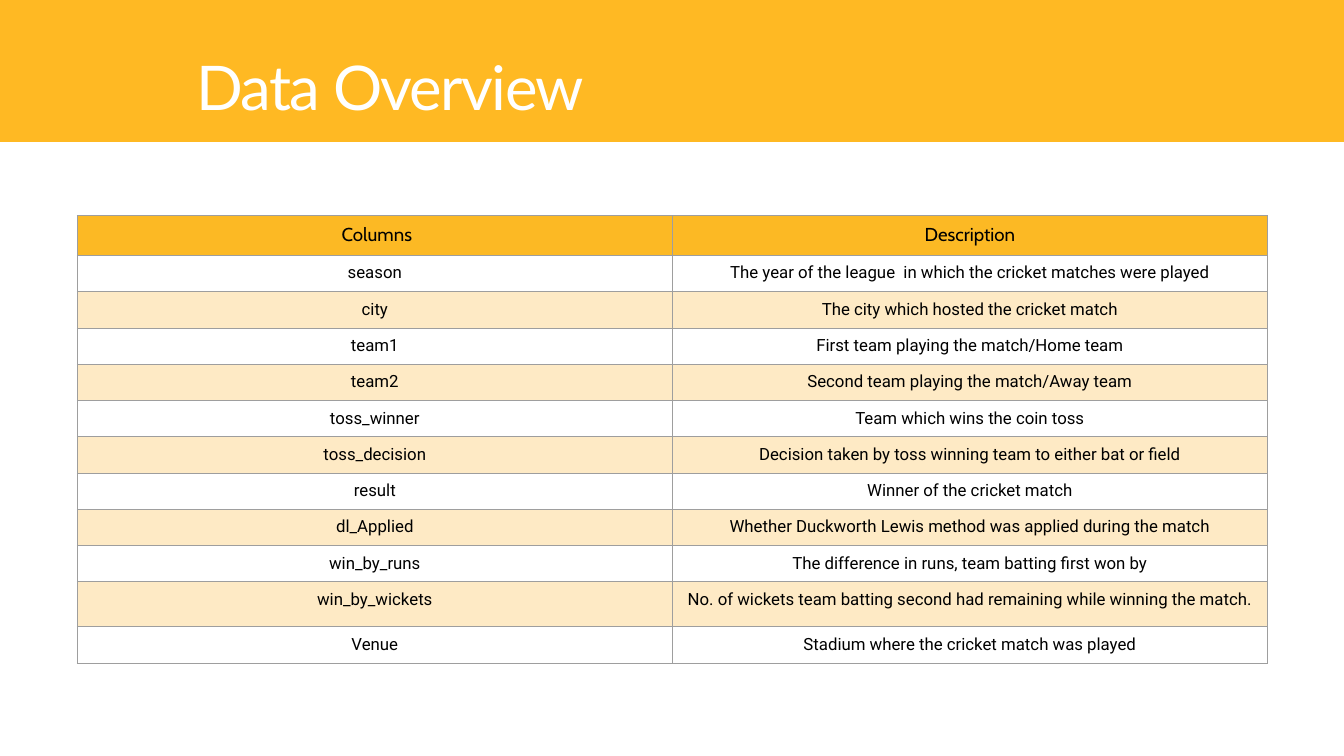
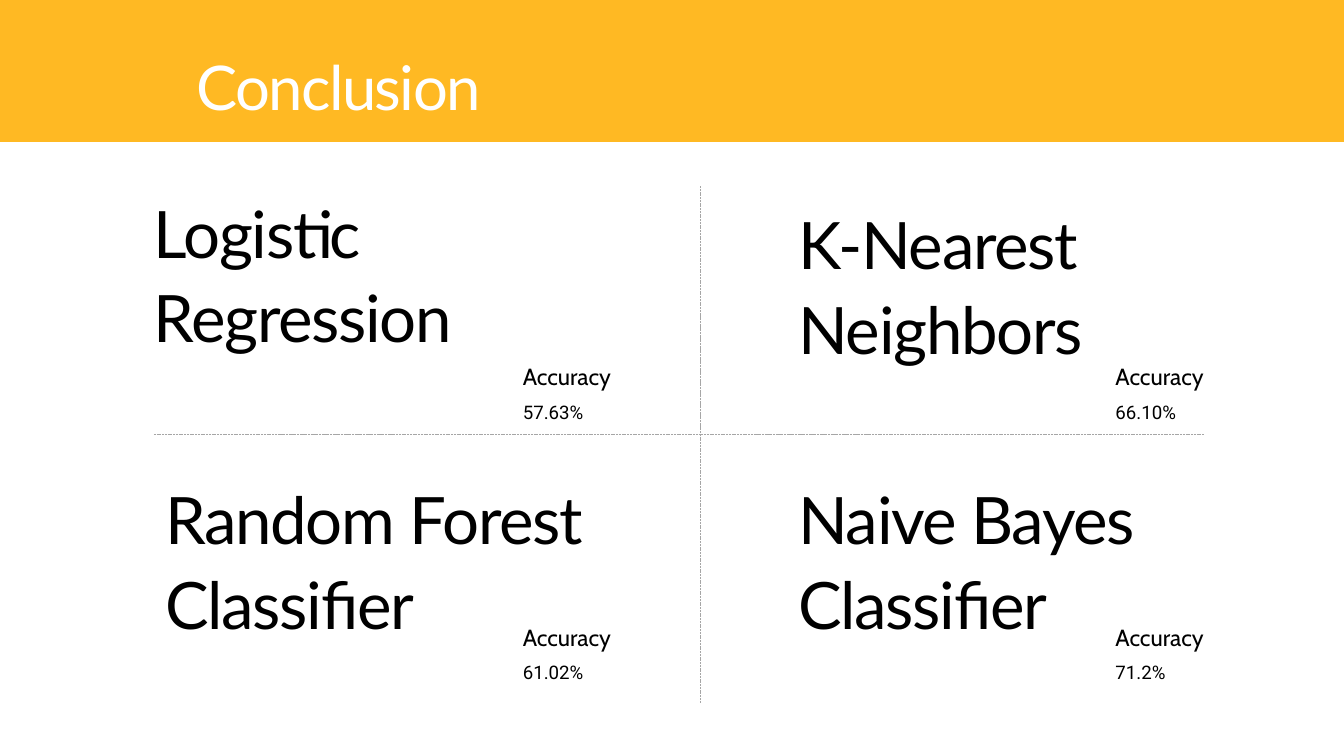
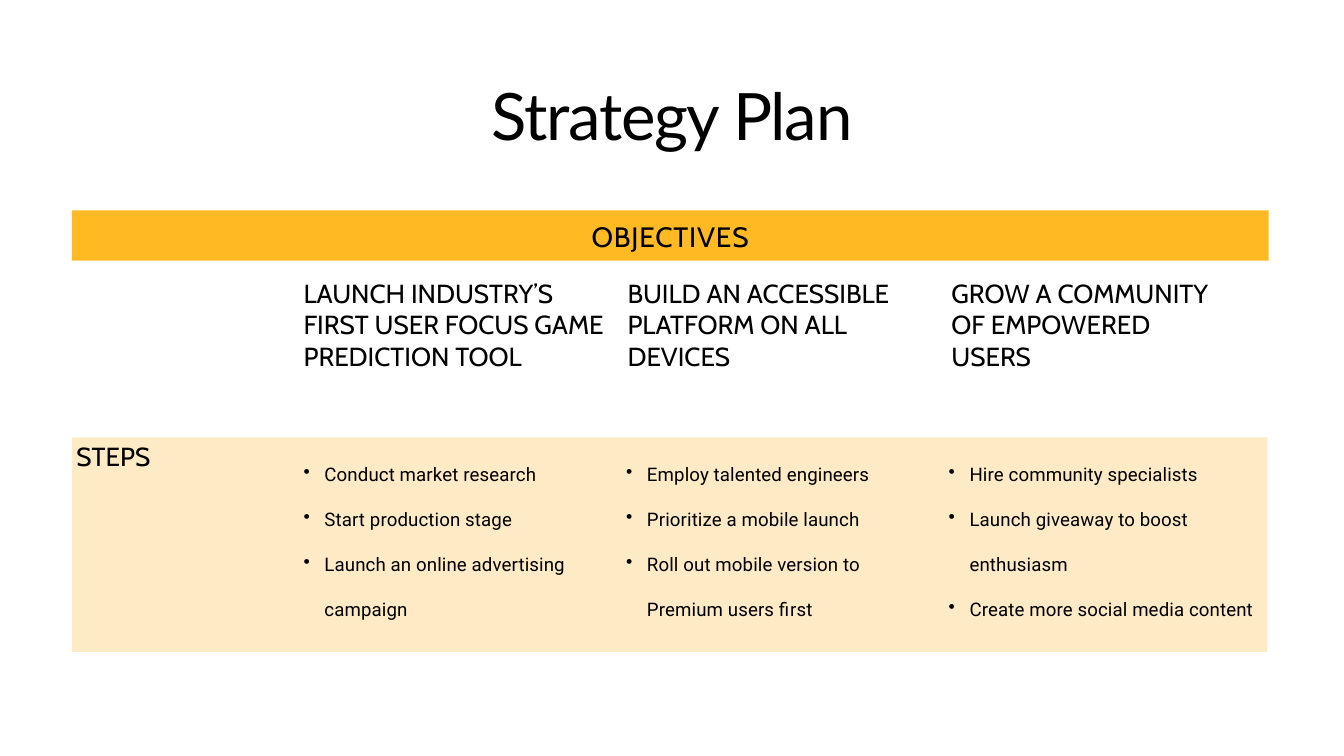
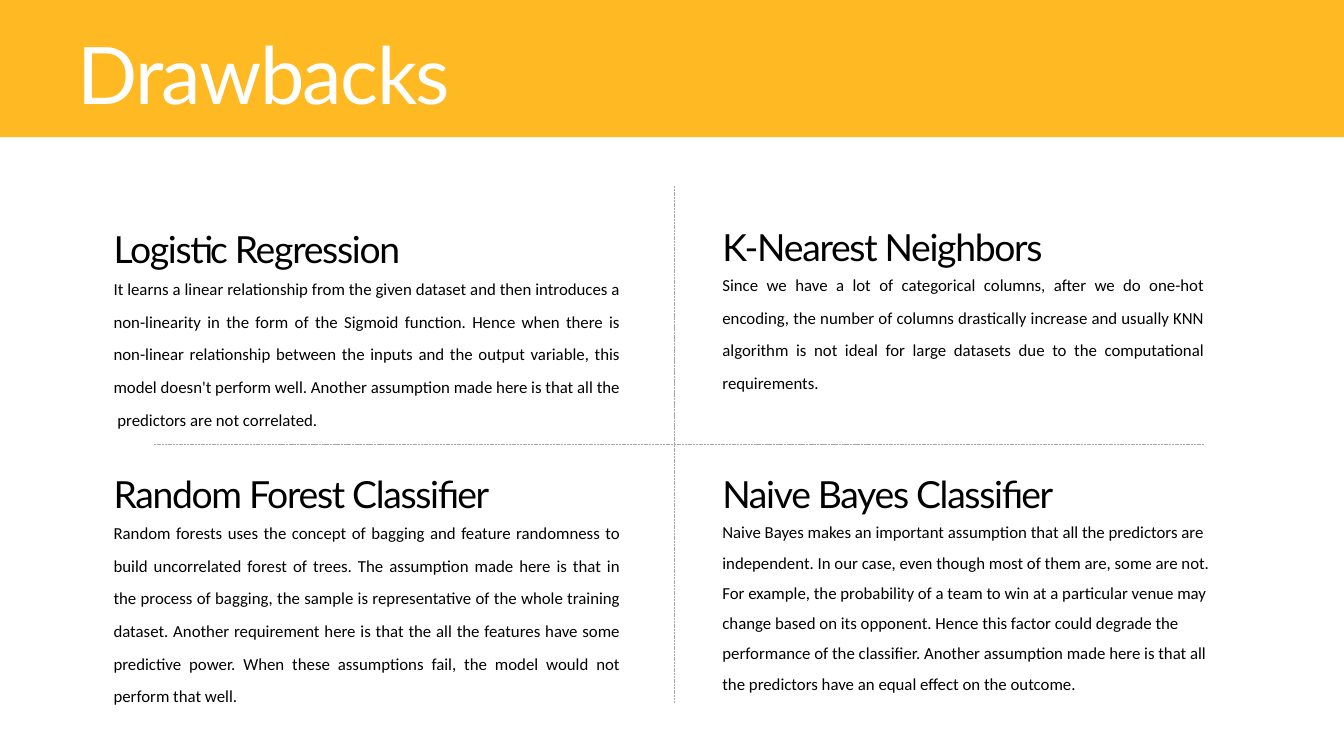
import pptx
import pptx.dml.color
import pptx.enum.dml
import pptx.enum.shapes
import pptx.enum.text
import pptx.oxml.ns
import pptx.util
from lxml import etree

Inches = pptx.util.Inches
Pt = pptx.util.Pt
Align = pptx.enum.text.PP_ALIGN
qn = pptx.oxml.ns.qn

INK = {"band": "FFB923", "head": "FCB924", "pale": "FEEAC5", "text": "000000",
       "white": "FFFFFF", "rule": "A6A6A6", "grid": "9E9E9E"}

FIELDS = [
    (" Columns", "Description"),
    ("season", "The year of the league  in which the cricket matches were played"),
    ("city", "The city which hosted the cricket match"),
    ("team1", "First team playing the match/Home team"),
    ("team2", "Second team playing the match/Away team"),
    ("toss_winner", "Team which wins the coin toss"),
    ("toss_decision", "Decision taken by toss winning team to either bat or field"),
    ("result", "Winner of the cricket match"),
    ("dl_Applied", "Whether Duckworth Lewis method was applied during the match"),
    ("win_by_runs", "The difference in runs, team batting first won by"),
    ("win_by_wickets",
     "No. of wickets team batting second had remaining while winning the match."),
    ("Venue", "Stadium where the cricket match was played"),
]
HEIGHTS = [0.59] + [0.54] * 9 + [0.67, 0.54]

# model, left and top of its name, left and top of its score
SCORES = [
    ("Logistic Regression", 2.29, 2.77, "57.63%", 7.78, 5.32),
    ("K-Nearest Neighbors", 11.88, 2.94, "66.10%", 16.6, 5.32),
    ("Random Forest Classifier", 2.46, 7.04, "61.02%", 7.78, 9.2),
    ("Naive Bayes Classifier", 11.88, 7.04, "71.2%", 16.6, 9.2),
]

GOALS = [
    (["LAUNCH INDUSTRY’S", "FIRST USER FOCUS GAME PREDICTION TOOL"],
     ["Conduct market research", "Start production stage",
      "Launch an online advertising campaign"]),
    (["BUILD AN ACCESSIBLE PLATFORM ON ALL", "DEVICES"],
     ["Employ talented engineers", "Prioritize a mobile launch",
      "Roll out mobile version to Premium users first"]),
    (["GROW A COMMUNITY", "OF EMPOWERED", "USERS"],
     ["Hire community specialists", "Launch giveaway to boost enthusiasm",
      "Create more social media content"]),
]

JUST = {"align": Align.JUSTIFY, "lead": Pt(35)}
# model, top of its name, left, top and size of its note, note, note format
FLAWS = [
    ("Logistic Regression", 2.77, (1.69, 3.96, 7.54, 2.4),
     "It learns a linear relationship from the given dataset and then introduces a "
     "non-linearity in the form of the Sigmoid function. Hence when there is "
     "non-linear relationship between the inputs and the output variable, this model "
     "doesn't perform well. Another assumption made here is that all the  predictors "
     "are not correlated.", JUST),
    ("K-Nearest Neighbors", 2.74, (10.75, 3.9, 7.17, 1.91),
     "Since we have a lot of categorical columns, after we do one-hot encoding, the "
     "number of columns drastically increase and usually KNN algorithm is not ideal "
     "for large datasets due to the computational requirements.", JUST),
    ("Random Forest Classifier", 6.41, (1.69, 7.59, 7.54, 2.89),
     "Random forests uses the concept of bagging and feature randomness to build "
     "uncorrelated forest of trees. The assumption made here is that in the process "
     "of bagging, the sample is representative of the whole training dataset. Another "
     "requirement here is that the all the features have some predictive power. When "
     "these assumptions fail, the model would not perform that well.", JUST),
    ("Naive Bayes Classifier", 6.41, (10.75, 7.62, 7.54, 2.68),
     "Naive Bayes makes an important assumption that all the predictors are "
     "independent. In our case, even though most of them are, some are not. For "
     "example, the probability of a team to win at a particular venue may change "
     "based on its opponent. Hence this factor could degrade the performance of the "
     "classifier. Another assumption made here is that all the predictors have an "
     "equal effect on the outcome.", {"lead": 1.5}),
]

NAME = {"size": 70, "font": "Lato", "lead": Pt(91), "track": -1.4}
LABEL = {"size": 28, "font": "Cabin"}
BODY = {"size": 20, "font": "Roboto"}


def rgb(name):
    return pptx.dml.color.RGBColor.from_string(INK[name])


def write(frame, text, *, size, font, color="text", align=Align.LEFT,
          lead=None, track=0, indent=0):
    """Fill a frame; text is one item or a list, an item a string or (string, size, font)."""
    for i, item in enumerate(text if isinstance(text, list) else [text]):
        words, points, face = (item, size, font) if isinstance(item, str) else item
        para = frame.add_paragraph() if i else frame.paragraphs[0]
        para.alignment = align
        if lead:
            para.line_spacing = lead
        if indent:
            props = para._p.get_or_add_pPr()
            props.set("marL", str(Inches(indent)))
            props.set("indent", str(-Inches(indent)))
            etree.SubElement(props, qn("a:buChar")).set("char", "•")
        run = para.add_run()
        run.text = words
        run.font.size, run.font.name = Pt(points), face
        run.font.color.rgb = rgb(color)
        if track:
            run._r.get_or_add_rPr().set("spc", str(round(track * 100)))


def fit(frame, inset):
    frame.word_wrap = True
    frame.auto_size = pptx.enum.text.MSO_AUTO_SIZE.SHAPE_TO_FIT_TEXT
    frame.vertical_anchor = pptx.enum.text.MSO_ANCHOR.TOP
    if not inset:
        frame.margin_left = frame.margin_right = 0
        frame.margin_top = frame.margin_bottom = 0


def put(slide, text, at, inset=False, **style):
    box = slide.shapes.add_textbox(*map(Inches, at))
    fit(box.text_frame, inset)
    write(box.text_frame, text, **style)


def bar(slide, at, color):
    shape = slide.shapes.add_shape(pptx.enum.shapes.MSO_SHAPE.RECTANGLE, *map(Inches, at))
    shape.shadow.inherit = False
    shape.fill.solid()
    shape.fill.fore_color.rgb = rgb(color)
    shape.line.fill.background()


def start(deck, text, at, band=0, **style):
    """Add a slide with its title, over a full-width band if it has one."""
    slide = deck.slides.add_slide(deck.slide_layouts[5])
    title = slide.shapes.title
    if band:
        bar(slide, (0, 0, 20, band), "band")
        title.element.getparent().append(title.element)
        style = {"font": "Lato", "color": "white", "lead": Pt(110.5), "track": -1.7, **style}
    title.left, title.top, title.width, title.height = map(Inches, at)
    fit(title.text_frame, False)
    write(title.text_frame, text, **style)
    return slide


def cross(slide, x, y):
    """Draw the dashed lines that part the four models."""
    for ends in ((x, 2.77, x, 10.46), (2.29, y, 17.92, y)):
        line = slide.shapes.add_connector(
            pptx.enum.shapes.MSO_CONNECTOR.STRAIGHT, *map(Inches, ends))
        line.line.color.rgb = rgb("rule")
        line.line.width = Pt(0.75)
        line.line.dash_style = pptx.enum.dml.MSO_LINE.SQUARE_DOT
        etree.SubElement(line._element.spPr, qn("a:effectLst"))


def edge(cell):
    props = cell._tc.get_or_add_tcPr()
    for side in ("a:lnL", "a:lnR", "a:lnT", "a:lnB"):
        line = etree.SubElement(props, qn(side), w=str(Pt(0.75)))
        fill = etree.SubElement(line, qn("a:solidFill"))
        etree.SubElement(fill, qn("a:srgbClr"), val=INK["grid"])


def data(deck):
    slide = start(deck, "Data Overview", (2.92, 0.29, 13.01, 1.43), 2.11, size=66)
    at = (1.15, 3.21, 17.71, sum(HEIGHTS))
    table = slide.shapes.add_table(len(FIELDS), 2, *map(Inches, at)).table
    table.first_row = table.horz_banding = False
    for r, (row, high) in enumerate(zip(FIELDS, HEIGHTS)):
        table.rows[r].height = Inches(high)
        style = BODY | {"size": 18} if r else {"size": 20, "font": "Cabin"}
        for c, text in enumerate(row):
            cell = table.cell(r, c)
            cell.margin_left = cell.margin_right = Inches(0.12)
            cell.margin_top = cell.margin_bottom = Inches(0.12)
            edge(cell)
            if r % 2:
                cell.fill.background()
            else:
                cell.fill.solid()
                cell.fill.fore_color.rgb = rgb("pale" if r else "head")
            write(cell.text_frame, text, align=Align.CENTER, **style)


def scores(deck):
    slide = start(deck, "Conclusion", (2.92, 0.29, 13.01, 1.43), 2.11, size=66)
    cross(slide, 10.42, 6.46)
    for name, x, y, score, left, top in SCORES:
        put(slide, name, (x, y, 6.74, 2.55), **NAME)
        put(slide, ["Accuracy", (score, 20, "Roboto")], (left, top, 2.64, 0.94),
            size=25, font="Cabin", **JUST)


def plan(deck):
    slide = start(deck, "Strategy Plan", (3.79, 1.02, 12.42, 1.23),
                  align=Align.CENTER, **NAME)
    bar(slide, (1.07, 6.51, 17.79, 3.19), "pale")
    bar(slide, (1.07, 3.13, 17.81, 0.75), "band")
    put(slide, "OBJECTIVES", (3.9, 3.22, 12.15, 0.53), size=30, font="Cabin",
        align=Align.CENTER, lead=Pt(39.3), track=0.9)
    put(slide, "STEPS", (1.04, 6.51, 5, 0.57), inset=True, **LABEL)
    for i, (goal, steps) in enumerate(GOALS):
        put(slide, goal, (4.42 + 4.82 * i, 4.08, 5, 1.51), inset=True, **LABEL)
        put(slide, steps, (4.42 + 4.8 * i, 6.51, 4.83, 2.69), inset=True,
            lead=2.0, track=0.1, indent=0.31, **BODY)


def flaws(deck):
    slide = start(deck, "Drawbacks", (1.15, 0.25, 8.08, 1.54), 2.04, size=85)
    cross(slide, 10.03, 6.61)
    for name, top, at, note, style in FLAWS:
        put(slide, name, (at[0], top, 6.74, 1.15), **NAME | {"size": 40})
        put(slide, note, at, size=18, font="Calibri", **style)


def main():
    deck = pptx.Presentation()
    deck.slide_width, deck.slide_height = Inches(20), Inches(11.25)
    for build in (data, scores, plan, flaws):
        build(deck)
    deck.save("out.pptx")


if __name__ == "__main__":
    main()
